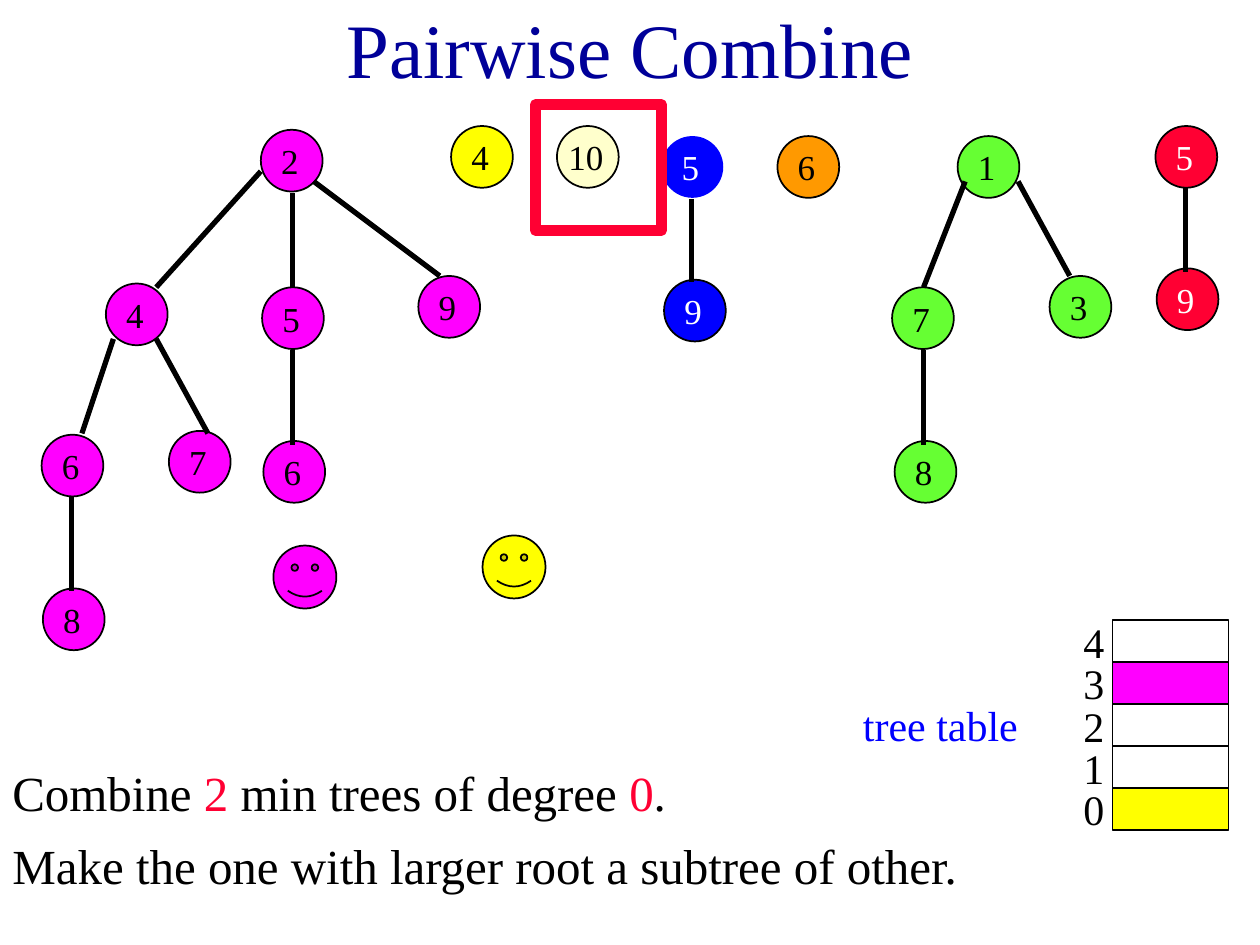
from dataclasses import dataclass

from lxml.etree import SubElement
from pptx import Presentation
from pptx.dml.color import RGBColor
from pptx.enum.shapes import MSO_CONNECTOR, MSO_SHAPE
from pptx.enum.text import MSO_ANCHOR, PP_ALIGN
from pptx.oxml.ns import qn
from pptx.util import Inches, Pt


@dataclass(frozen=True)
class Theme:
    font: str = "Times New Roman"
    title: str = "000099"
    black: str = "000000"
    white: str = "FFFFFF"
    red: str = "FF0033"
    blue: str = "0000FF"
    green: str = "66FF33"
    magenta: str = "FF00FF"
    yellow: str = "FFFF00"
    orange: str = "FF9900"
    cream: str = "FFFFCC"
    title_size: int = 44
    body_size: int = 28
    table_size: int = 24
    node_size: int = 20
    thin: int = 1
    edge: int = 3
    marker: int = 6


THEME = Theme()
NODE = 0.49


def rgb(color):
    return RGBColor.from_string(color)


def write(tf, runs, size, align=PP_ALIGN.LEFT):
    """Fill the first paragraph with (text, color) runs."""
    p = tf.paragraphs[0]
    p.alignment = align
    p.font.name = THEME.font
    p.font.size = Pt(size)
    for text, color in runs:
        r = p.add_run()
        r.text = text
        r.font.color.rgb = rgb(color)


def add_text(slide, box, runs, size, align=PP_ALIGN.LEFT, anchor=MSO_ANCHOR.TOP):
    tf = slide.shapes.add_textbox(*map(Inches, box)).text_frame
    tf.word_wrap = True
    tf.vertical_anchor = anchor
    write(tf, runs, size, align)


def add_figure(slide, kind, box, fill=None, outline=True):
    sp = slide.shapes.add_shape(kind, *map(Inches, box))
    sp.shadow.inherit = False
    if fill:
        sp.fill.solid()
        sp.fill.fore_color.rgb = rgb(fill)
    else:
        sp.fill.background()
    if outline:
        sp.line.color.rgb = rgb(THEME.black)
        sp.line.width = Pt(THEME.thin)
    else:
        sp.line.fill.background()
    return sp


def add_edge(slide, x1, y1, x2, y2):
    line = slide.shapes.add_connector(
        MSO_CONNECTOR.STRAIGHT, Inches(x1), Inches(y1), Inches(x2), Inches(y2))
    line.line.color.rgb = rgb(THEME.black)
    line.line.width = Pt(THEME.edge)
    SubElement(line._element.spPr, qn("a:effectLst"))


def add_tree(slide, left, top, fill, nodes, edges=(), color=THEME.black, root_outline=True):
    """Draw (key, x, y) nodes, root first, and (x1, y1, x2, y2) edges from the tree's corner."""
    for i, (key, x, y) in enumerate(nodes):
        sp = add_figure(slide, MSO_SHAPE.OVAL, (left + x, top + y, NODE, NODE),
                        fill, root_outline or i > 0)
        tf = sp.text_frame
        tf.margin_left = tf.margin_right = tf.margin_top = tf.margin_bottom = 0
        tf.margin_right = Inches(0.03)
        tf.word_wrap = False
        tf.vertical_anchor = MSO_ANCHOR.MIDDLE
        write(tf, [(key, color)], THEME.node_size, PP_ALIGN.CENTER)
    for x1, y1, x2, y2 in edges:
        add_edge(slide, left + x1, top + y1, left + x2, top + y2)


def add_forest(slide):
    add_tree(slide, 0.33, 1.03, THEME.magenta,
             [("2", 1.74, 0), ("4", 0.51, 1.22), ("5", 1.75, 1.25), ("9", 2.99, 1.16),
              ("6", 0, 2.42), ("7", 1.01, 2.39), ("6", 1.76, 2.47), ("8", 0.01, 3.64)],
             [(1.74, 0.33, 0.91, 1.25), (1.99, 0.5, 1.99, 1.25), (2.16, 0.41, 3.16, 1.16),
              (0.57, 1.66, 0.32, 2.41), (0.91, 1.66, 1.32, 2.41), (1.99, 1.75, 1.99, 2.5),
              (0.24, 2.91, 0.24, 3.66)])
    for key, left, top, fill in [("4", 3.58, 1, THEME.yellow), ("10", 4.42, 1, THEME.cream),
                                 ("6", 6.17, 1.08, THEME.orange)]:
        add_tree(slide, left, top, fill, [(key, 0, 0)])
    add_tree(slide, 5.25, 1.08, THEME.blue, [("5", 0, 0), ("9", 0.02, 1.14)],
             [(0.24, 0.5, 0.24, 1.16)], THEME.white, root_outline=False)
    add_tree(slide, 7.08, 1.08, THEME.green,
             [("1", 0.52, 0), ("7", 0, 1.2), ("3", 1.25, 1.11), ("8", 0.02, 2.42)],
             [(0.58, 0.36, 0.25, 1.2), (1, 0.36, 1.41, 1.11), (0.25, 1.7, 0.25, 2.45)])
    add_tree(slide, 9.17, 1, THEME.red, [("5", 0, 0), ("9", 0.01, 1.13)],
             [(0.24, 0.49, 0.24, 1.16)], THEME.white)


def curve_points(start, curves, steps=6):
    """Sample a chain of cubic Bezier curves, each given by two controls and an end."""
    points = []
    for b, c, d in curves:
        for i in range(1, steps + 1):
            t = i / steps
            weights = ((1 - t) ** 3, 3 * t * (1 - t) ** 2, 3 * t * t * (1 - t), t ** 3)
            points.append(tuple(sum(w * v for w, v in zip(weights, axis))
                                for axis in zip(start, b, c, d)))
        start = d
    return points


def add_loop(slide, left, top):
    """Hand-drawn loop around the tree being combined."""
    start = (0.61, 1.05)
    curves = [
        ((0.64, 0.87), (0.57, 0.74), (0.73, 0.63)), ((0.77, 0.53), (0.78, 0.44), (0.8, 0.33)),
        ((0.79, 0.27), (0.79, 0.2), (0.78, 0.14)), ((0.77, 0.07), (0.58, 0.02), (0.52, 0)),
        ((0.43, 0.01), (0.34, 0.01), (0.25, 0.02)), ((0.22, 0.02), (0.19, 0.02), (0.17, 0.03)),
        ((0.12, 0.07), (0.1, 0.13), (0.06, 0.18)), ((0.03, 0.29), (0.05, 0.24), (0, 0.32)),
        ((0.01, 0.37), (0.01, 0.42), (0.02, 0.47)), ((0.04, 0.62), (0.14, 0.66), (0.27, 0.71)),
        ((0.29, 0.79), (0.32, 0.85), (0.39, 0.89)), ((0.41, 0.92), (0.44, 0.97), (0.47, 0.99)),
        ((0.5, 1), (0.53, 1.01), (0.56, 1.02)), ((0.59, 1.03), (0.63, 1.02), (0.66, 1.03)),
        ((0.67, 1.04), (0.62, 1.05), start)]
    builder = slide.shapes.build_freeform(*start, scale=Inches(1))
    builder.add_line_segments(curve_points(start, curves), close=True)
    sp = builder.convert_to_shape(Inches(left), Inches(top))
    sp.shadow.inherit = False
    sp.fill.background()
    sp.line.color.rgb = rgb(THEME.red)
    sp.line.width = Pt(THEME.marker)
    SubElement(sp.line._get_or_add_ln(), qn("a:round"))


def add_tree_table(slide, left, top):
    add_text(slide, (left, top + 0.58, 1.58, 0.5), [("tree table", THEME.blue)], THEME.table_size)
    row = 1 / 3
    fills = {3: THEME.magenta, 0: THEME.yellow}
    for i, degree in enumerate(range(4, -1, -1)):
        y = top + i * row
        add_figure(slide, MSO_SHAPE.RECTANGLE, (left + 2.08, y, 0.92, row), fills.get(degree))
        add_text(slide, (left + 1.75, y - 0.08, 0.67, 0.5),
                 [(str(degree), THEME.black)], THEME.table_size)


def add_smiley(slide, left, top, fill):
    sp = add_figure(slide, MSO_SHAPE.SMILEY_FACE, (left, top, 0.5, 0.5), fill)
    sp.adjustments[0] = 0.0465


def add_explanation(slide, left, top):
    add_text(slide, (left, top, 7.33, 0.57),
             [("Combine", THEME.black), (" 2 ", THEME.red),
              ("min trees of degree ", THEME.black), ("0", THEME.red), (".", THEME.black)],
             THEME.body_size)
    add_text(slide, (left, top + 0.58, 7.75, 0.57),
             [("Make the one with larger root a subtree of other.", THEME.black)],
             THEME.body_size)


def main():
    prs = Presentation()
    prs.slide_width, prs.slide_height = Inches(10), Inches(7.5)
    slide = prs.slides.add_slide(prs.slide_layouts[6])
    add_text(slide, (0.75, 0, 8.5, 0.75), [("Pairwise Combine", THEME.title)],
             THEME.title_size, PP_ALIGN.CENTER, MSO_ANCHOR.MIDDLE)
    add_forest(slide)
    add_loop(slide, 4.25, 0.83)
    add_tree_table(slide, 6.75, 4.92)
    add_smiley(slide, 2.17, 4.33, THEME.magenta)
    add_smiley(slide, 3.83, 4.25, THEME.yellow)
    add_explanation(slide, 0, 6)
    prs.save("out.pptx")


if __name__ == "__main__":
    main()
